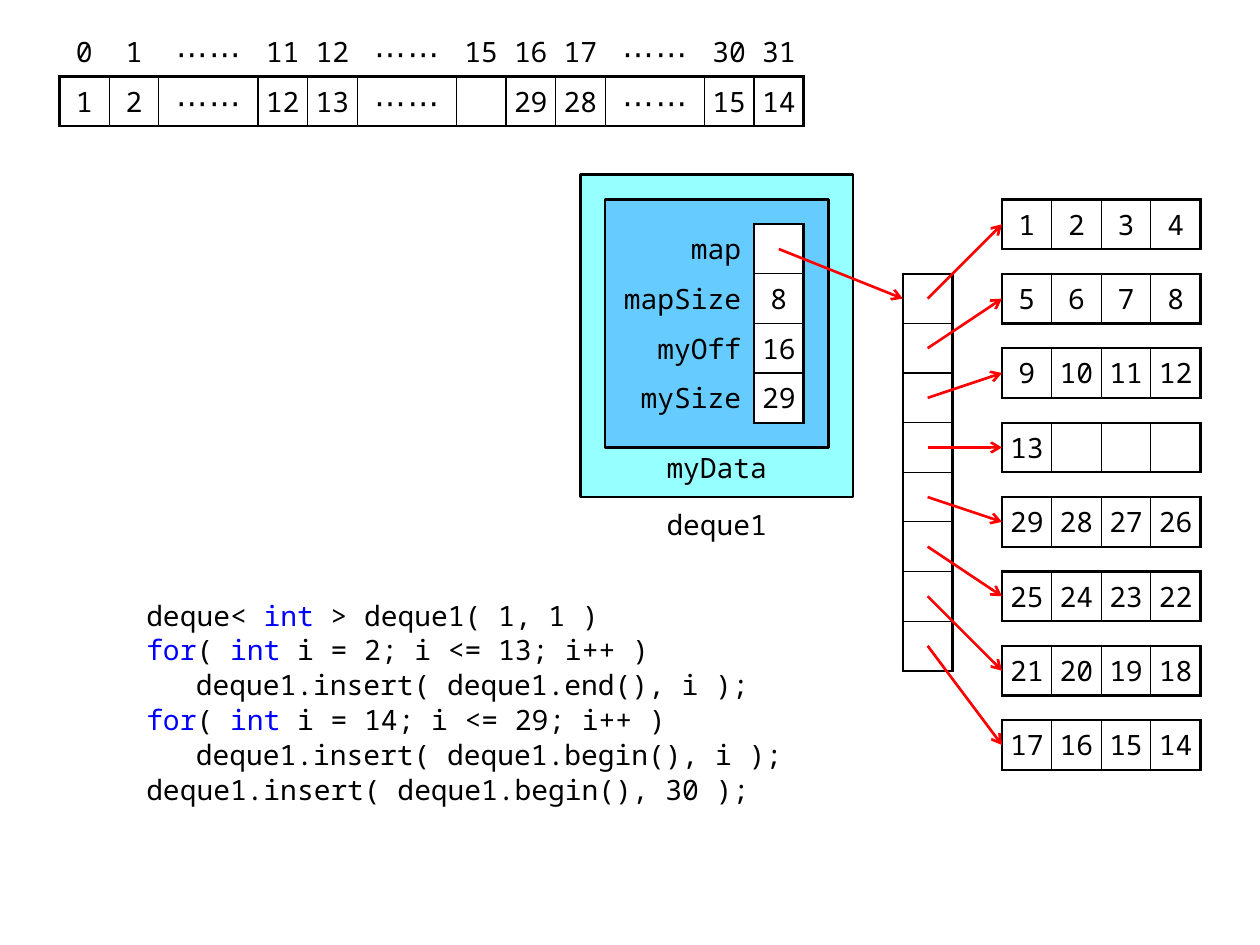
from dataclasses import dataclass

from lxml.etree import SubElement
from pptx import Presentation
from pptx.dml.color import RGBColor
from pptx.enum.shapes import MSO_CONNECTOR, MSO_SHAPE
from pptx.enum.text import MSO_ANCHOR as Anchor, PP_ALIGN as Align
from pptx.oxml.ns import qn
from pptx.util import Emu, Inches, Pt

EMU_PER_PX = 7200
CELL = 50
BLOCK_STEP = 75
TOP = 201
FONT = "Noto Sans Mono"
ELLIPSIS = "⋯⋯"
THICK, THIN = Pt(1.5), Pt(0.75)

BLACK = RGBColor(0, 0, 0)
WHITE = RGBColor(255, 255, 255)
RED = RGBColor(255, 0, 0)
BLUE = RGBColor(0, 0, 255)
CYAN = RGBColor(0x96, 0xFF, 0xFF)
SKY = RGBColor(0x66, 0xCC, 0xFF)


@dataclass
class Grid:
    """A table whose cells from (first_row, first_col) onwards are ruled."""
    x: int
    y: int
    rows: list[list[str]]
    col_widths: list[int]
    first_row: int = 0
    first_col: int = 0

    def ruled(self, row: int, col: int) -> bool:
        return (self.first_row <= row < len(self.rows)
                and self.first_col <= col < len(self.col_widths))


@dataclass
class Box:
    x: int
    y: int
    w: int
    h: int
    fill: RGBColor


@dataclass
class Label:
    x: int
    y: int
    w: int
    text: str
    inset_top: int
    anchor: Anchor


@dataclass
class Arrow:
    x1: int
    y1: int
    x2: int
    y2: int


INDEX_ROWS = [
    ["0", "1", ELLIPSIS, "11", "12", ELLIPSIS, "15", "16", "17", ELLIPSIS, "30", "31"],
    ["1", "2", ELLIPSIS, "12", "13", ELLIPSIS, "", "29", "28", ELLIPSIS, "15", "14"],
]
FIELDS = [["map", ""], ["mapSize", "8"], ["myOff", "16"], ["mySize", "29"]]
BLOCKS = [[str(n) for n in range(start, start + 4)] for start in (1, 5, 9)]
BLOCKS.append(["13", "", "", ""])
BLOCKS += [[str(n) for n in range(start, start - 4, -1)] for start in (29, 25, 21, 17)]

GRIDS = [
    Grid(60, 27, INDEX_ROWS,
         [2 * CELL if text == ELLIPSIS else CELL for text in INDEX_ROWS[0]], first_row=1),
    Grid(910, 276, [[""] for _ in BLOCKS], [CELL]),
    Grid(610, 226, FIELDS, [3 * CELL, CELL], first_col=1),
    *(Grid(1010, TOP + i * BLOCK_STEP, [block], [CELL] * 4)
      for i, block in enumerate(BLOCKS)),
]
BOXES = [Box(585, 176, 275, 325, CYAN), Box(610, TOP, 225, 250, SKY)]
LABELS = [
    Label(635, 501, 175, "deque1", 5, Anchor.MIDDLE),
    Label(660, 451, 125, "myData", 3, Anchor.TOP),
]
ARROWS = [Arrow(785, 251, 910, 301)] + [
    Arrow(935, 301 + i * CELL, 1010, TOP + CELL // 2 + i * BLOCK_STEP)
    for i in range(len(BLOCKS))
]
# Each line is its indent and its text; keywords stand between bars.
CODE = [
    (0, "deque< |int| > deque1( 1, 1 )"),
    (50, "|for|( |int| i = 2; i <= 13; i++ )"),
    (50, "deque1.insert( deque1.end(), i );"),
    (0, "|for|( |int| i = 14; i <= 29; i++ )"),
    (50, "deque1.insert( deque1.begin(), i );"),
    (0, "deque1.insert( deque1.begin(), 30 );"),
]
CODE[1] = (0, CODE[1][1])


def px(n: int) -> Emu:
    return Emu(n * EMU_PER_PX)


def style_run(r, color: RGBColor = BLACK, size: int = 16) -> None:
    r.font.name = FONT
    r.font.size = Pt(size)
    r.font.color.rgb = color


def set_border(cell, side: str, width: Emu | None) -> None:
    ln = SubElement(cell._tc.get_or_add_tcPr(), qn(f"a:{side}"))
    if width is None:
        SubElement(ln, qn("a:noFill"))
        return
    ln.set("w", str(width))
    SubElement(SubElement(ln, qn("a:solidFill")), qn("a:srgbClr")).set("val", str(BLACK))


def fill_cell(cell, grid: Grid, row: int, col: int) -> None:
    is_field_name = col < grid.first_col
    cell.margin_left = cell.margin_right = px(
        13 if is_field_name else 0 if grid.first_col else 5)
    cell.margin_top = cell.margin_bottom = px(5)
    cell.vertical_anchor = Anchor.MIDDLE
    text = grid.rows[row][col]
    p = cell.text_frame.paragraphs[0]
    p.text = text
    p.alignment = Align.RIGHT if is_field_name else Align.CENTER
    for r in p.runs:
        style_run(r, size=18 if text == ELLIPSIS else 16)
        if text == ELLIPSIS:
            r.font._element.set("spc", "100")

    ruled = grid.ruled(row, col)
    neighbours = {"lnL": (row, col - 1), "lnR": (row, col + 1),
                  "lnT": (row - 1, col), "lnB": (row + 1, col)}
    for side, neighbour in neighbours.items():
        set_border(cell, side, (None, THICK, THIN)[ruled + grid.ruled(*neighbour)])
    if ruled:
        cell.fill.solid()
        cell.fill.fore_color.rgb = WHITE
    else:
        cell.fill.background()


def draw_grid(s, grid: Grid) -> None:
    n_rows, n_cols = len(grid.rows), len(grid.col_widths)
    table = s.shapes.add_table(n_rows, n_cols, px(grid.x), px(grid.y),
                               px(sum(grid.col_widths)), px(n_rows * CELL)).table
    table.first_row = table.horz_banding = False
    for column, width in zip(table.columns, grid.col_widths):
        column.width = px(width)
    for row in range(n_rows):
        table.rows[row].height = px(CELL)
        for col in range(n_cols):
            fill_cell(table.cell(row, col), grid, row, col)


def draw_box(s, box: Box) -> None:
    sp = s.shapes.add_shape(MSO_SHAPE.FLOWCHART_PROCESS,
                            px(box.x), px(box.y), px(box.w), px(box.h))
    sp.shadow.inherit = False
    sp.fill.solid()
    sp.fill.fore_color.rgb = box.fill
    sp.line.color.rgb = BLACK
    sp.line.width = THICK


def draw_label(s, label: Label) -> None:
    tf = s.shapes.add_textbox(px(label.x), px(label.y), px(label.w), px(CELL)).text_frame
    tf.word_wrap = True
    tf.vertical_anchor = label.anchor
    tf.margin_left = tf.margin_right = px(10)
    tf.margin_top, tf.margin_bottom = px(label.inset_top), 0
    p = tf.paragraphs[0]
    p.text = label.text
    p.alignment = Align.CENTER
    style_run(p.runs[0])


def draw_arrow(s, arrow: Arrow) -> None:
    line = s.shapes.add_connector(MSO_CONNECTOR.STRAIGHT, px(arrow.x1), px(arrow.y1),
                                  px(arrow.x2), px(arrow.y2))
    line.line.color.rgb = RED
    line.line.width = THICK
    SubElement(line.line._get_or_add_ln(), qn("a:tailEnd")).set("type", "arrow")
    SubElement(line._element.spPr, qn("a:effectLst"))


def draw_code(s) -> None:
    tf = s.shapes.add_textbox(px(135), px(601), px(675), px(275)).text_frame
    tf.word_wrap = True
    for i, (indent, line) in enumerate(CODE):
        p = tf.add_paragraph() if i else tf.paragraphs[0]
        p.space_before = Pt(3)
        p.line_spacing = 0.88
        p._p.get_or_add_pPr().set("marL", str(px(indent)))
        for j, text in enumerate(line.split("|")):
            if text:
                r = p.add_run()
                r.text = text
                style_run(r, BLUE if j % 2 else BLACK)


def main() -> None:
    prs = Presentation()
    prs.slide_width, prs.slide_height = Inches(10), Inches(7.5)
    s = prs.slides.add_slide(prs.slide_layouts[6])
    for box in BOXES:
        draw_box(s, box)
    for label in LABELS:
        draw_label(s, label)
    for grid in GRIDS:
        draw_grid(s, grid)
    for arrow in ARROWS:
        draw_arrow(s, arrow)
    draw_code(s)
    prs.save("out.pptx")


if __name__ == "__main__":
    main()
